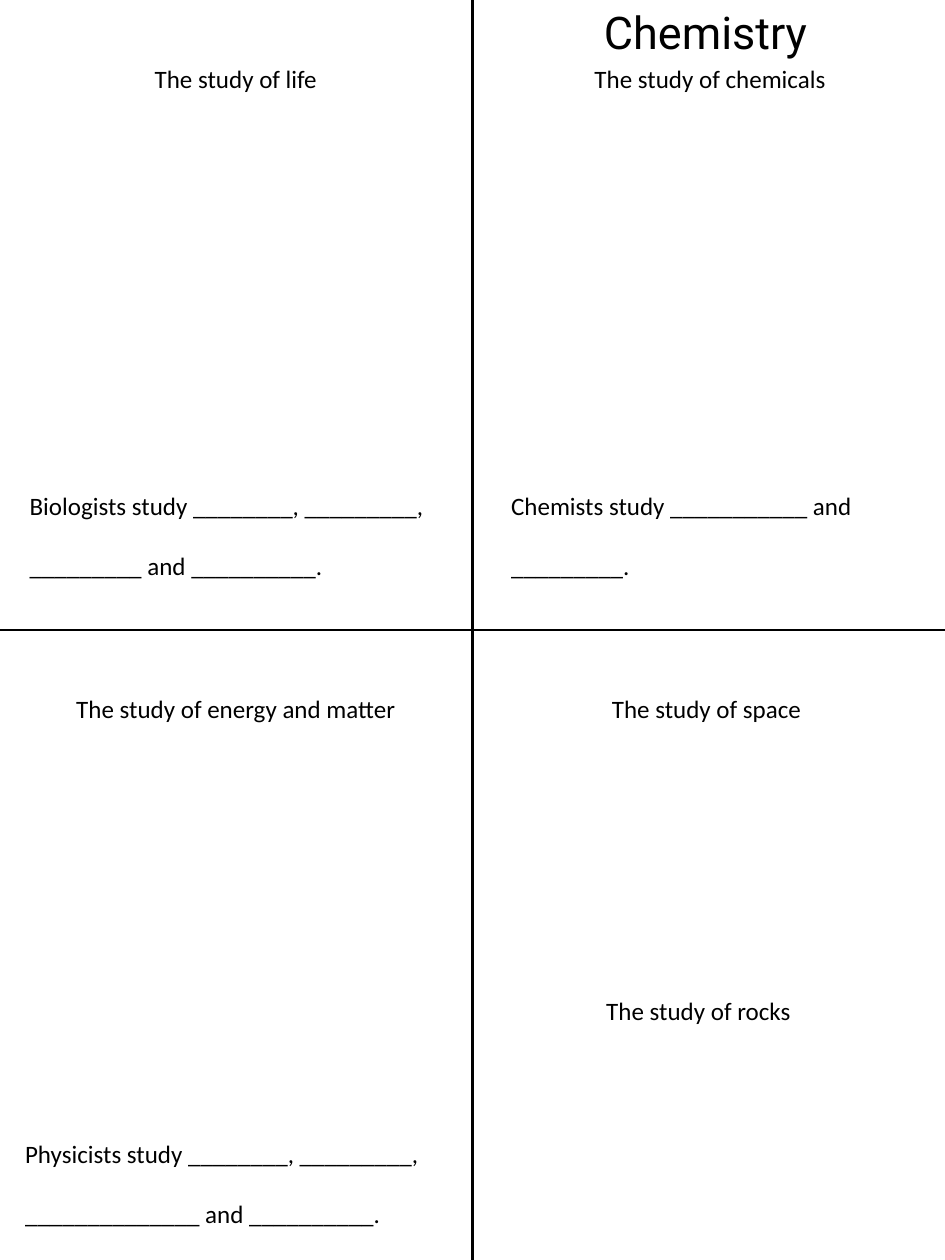
"""Build a four-part worksheet on the branches of science."""
from dataclasses import dataclass

from lxml.etree import SubElement
from pptx import Presentation
from pptx.dml.color import RGBColor
from pptx.enum.shapes import MSO_CONNECTOR
from pptx.enum.text import MSO_AUTO_SIZE, PP_ALIGN
from pptx.oxml.ns import qn
from pptx.slide import Slide
from pptx.util import Inches, Pt

WIDE, HIGH = 10.5, 14
INK = "000000"


@dataclass
class Label:
    """Hold the text, place and look of one box."""
    lines: tuple[str, ...]
    left: float
    top: float
    width: float = 4.44
    height: float = 0.44
    size: int = 20
    font: str = "Calibri"
    align: PP_ALIGN = PP_ALIGN.CENTER


def color(code: str) -> RGBColor:
    """Turn a hex string into a colour."""
    return RGBColor.from_string(code)


def prompt(left: float, top: float, *lines: str) -> Label:
    """Describe a two-line fill-in sentence."""
    return Label(lines, left, top, 4.79, 1.11, align=PP_ALIGN.LEFT)


def write(slide: Slide, label: Label) -> None:
    """Draw one label with a blank line's gap between its lines."""
    box = slide.shapes.add_textbox(Inches(label.left), Inches(label.top),
                                   Inches(label.width), Inches(label.height))
    frame = box.text_frame
    frame.word_wrap = True
    frame.auto_size = MSO_AUTO_SIZE.SHAPE_TO_FIT_TEXT
    look = {"name": label.font, "size": Pt(label.size)}
    for i, text in enumerate(label.lines):
        para = frame.add_paragraph() if i else frame.paragraphs[0]
        para.alignment = label.align
        if i:
            para.space_before = Pt(24)
        run = para.add_run()
        run.text = text
        for key, value in look.items():
            setattr(run.font, key, value)
        run.font.color.rgb = color(INK)


def rule(slide: Slide, x: float, y: float, end_x: float, end_y: float) -> None:
    """Draw one dividing line."""
    line = slide.shapes.add_connector(MSO_CONNECTOR.STRAIGHT, Inches(x), Inches(y),
                                      Inches(end_x), Inches(end_y))
    line.line.color.rgb = color(INK)
    line.line.width = Pt(2.25)
    SubElement(line._element.spPr, qn("a:effectLst"))


LABELS = [
    prompt(0.23, 5.4, "Biologists study ________, _________,",
           "_________ and __________."),
    Label(("The study of life",), 0.4, 0.66),
    Label(("Chemistry",), 5.62, 0, height=0.71, size=36, font="Roboto"),
    Label(("The study of chemicals",), 5.67, 0.66),
    prompt(5.58, 5.4, "Chemists study ___________ and", "_________."),
    Label(("The study of energy and matter",), 0.4, 7.66),
    prompt(0.18, 12.6, "Physicists study ________, _________,",
           "______________ and __________."),
    Label(("The study of space",), 5.63, 7.66),
    Label(("The study of rocks",), 5.54, 11.01),
]


def main() -> None:
    """Build and save the slide."""
    deck = Presentation()
    deck.slide_width, deck.slide_height = Inches(WIDE), Inches(HIGH)
    slide = deck.slides.add_slide(deck.slide_layouts[6])
    rule(slide, WIDE / 2, HIGH, WIDE / 2, 0)
    rule(slide, WIDE, HIGH / 2, 0, HIGH / 2)
    for label in LABELS:
        write(slide, label)
    deck.save("out.pptx")


if __name__ == "__main__":
    main()
